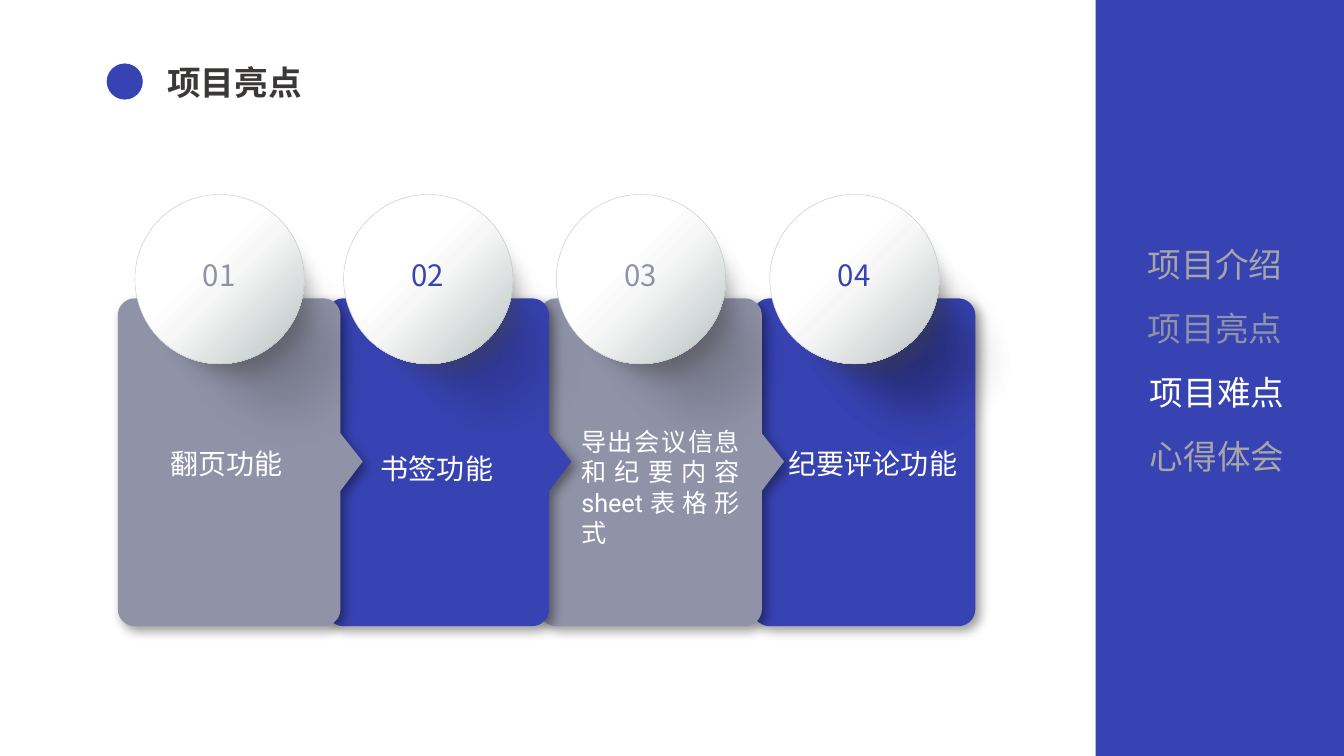
from math import cos, radians, sin

from lxml.etree import SubElement
from pptx import Presentation
from pptx.dml.color import RGBColor
from pptx.enum.shapes import MSO_SHAPE
from pptx.enum.text import MSO_ANCHOR, MSO_AUTO_SIZE, PP_ALIGN
from pptx.oxml.ns import qn
from pptx.util import Cm, Pt

COLORS = {"blue": "3843B3", "grey": "9092A8", "title": "3B3838",
          "muted": "A6A6A6", "white": "FFFFFF", "black": "000000",
          "shade": "494949", "pearl": "F7F7F7", "silver": "B8C0C0"}
CJK, LATIN = "Noto Sans CJK SC", "Roboto"

TITLE = "项目亮点"
# text, colour, left
NAVIGATION = [("项目介绍", "muted", 28.68), ("项目亮点", "grey", 28.68),
              ("项目难点", "white", 28.73), ("心得体会", "muted", 28.73)]
# Lengths in cm; label_box is left, top, width, height
CARDS = [
    {"number": "01", "color": "grey", "left": 2.97, "size": 20,
     "label": [("翻页功能", CJK)], "label_box": (4.04, 11.13, 3.58, 1.12)},
    {"number": "02", "color": "blue", "left": 8.23, "size": 20,
     "label": [("书签功能", CJK)], "label_box": (9.35, 11.25, 3.58, 1.12)},
    {"number": "03", "color": "grey", "left": 13.59, "size": 18,
     "label": [("导出会议信息和纪要内容", CJK), ("sheet", LATIN), ("表格形式", CJK)],
     "label_box": (14.4, 10.62, 4.5, 2.57)},
    {"number": "04", "color": "blue", "left": 18.97, "size": 20,
     "label": [("纪要评论功能", CJK)], "label_box": (19.63, 11.13, 4.9, 1.96)},
]
CARD_TOP, CARD_WIDTH, CARD_HEIGHT, CORNER = 7.52, 5.61, 8.26, 0.43
ARROW = [(0, 3.4), (0.56, 4.11), (0, 4.85)]  # from the card's top right

# position %, colour, opacity %
DISC_STOPS = [(11, "white", 100), (39, "white", 100),
              (53, "pearl", 100), (100, "silver", 100)]
UNDER_DISC_STOPS = [(0, "white", 100), (43, "pearl", 100), (100, "silver", 100)]
CAST_STOPS = [(0, "black", 100), (17, "black", 46), (34, "black", 43),
              (51, "black", 20), (65, "black", 10), (78, "black", 5),
              (100, "black", 0)]
CAST_SOFTNESS = 32  # points
# Cubic curves of the cast shade around its centre, each starting where the last ends
CAST_START = (-2.92, 0)
CAST_CURVES = [((-2.54, -2.08), (-1.6, -3.85), (0, -3.85)),
               ((1.6, -3.85), (2.63, -2.06), (2.92, 0)),
               ((3.18, 2.11), (1.6, 3.85), (0, 3.85)),
               ((-1.6, 3.85), (-3.2, 2.11), CAST_START)]
CURVE_STEPS = 12


def rgb(name):
    return RGBColor.from_string(COLORS[name])


def add_color(parent, name, opacity):
    color = SubElement(parent, qn("a:srgbClr"), val=COLORS[name])
    if opacity < 100:
        SubElement(color, qn("a:alpha"), val=str(opacity * 1000))


def paint(shape, color):
    shape.shadow.inherit = False
    shape.line.fill.background()
    shape.fill.solid()
    shape.fill.fore_color.rgb = rgb(color)


def paint_gradient(shape, stops, angle):
    shape.shadow.inherit = False
    shape.line.fill.background()
    shape.fill.gradient()
    gradient = shape.element.spPr.find(qn("a:gradFill"))
    stop_list = gradient.find(qn("a:gsLst"))
    stop_list.clear()
    for position, color, opacity in stops:
        stop = SubElement(stop_list, qn("a:gs"), pos=str(position * 1000))
        add_color(stop, color, opacity)
    gradient.find(qn("a:lin")).set("ang", str(angle * 60000))


def cast_shadow(shape, color, blur, distance):
    effects = shape.element.spPr.find(qn("a:effectLst"))
    shadow = SubElement(effects, qn("a:outerShdw"), blurRad=str(Pt(blur)),
                        dist=str(Pt(distance)), dir=str(45 * 60000),
                        algn="tl", rotWithShape="0")
    add_color(shadow, color, 40)


def soften_edge(shape, radius):
    effects = shape.element.spPr.find(qn("a:effectLst"))
    SubElement(effects, qn("a:softEdge"), rad=str(Pt(radius)))


def write(box, runs, size, color, align=PP_ALIGN.LEFT, bold=False):
    frame = box.text_frame
    frame.word_wrap = True
    frame.auto_size = MSO_AUTO_SIZE.SHAPE_TO_FIT_TEXT
    frame.vertical_anchor = MSO_ANCHOR.TOP
    para = frame.paragraphs[0]
    para.alignment = align
    for text, font in runs:
        span = para.add_run()
        span.text = text
        span.font.size = Pt(size)
        span.font.bold = bold
        span.font.color.rgb = rgb(color)
        span.font.name = font
        SubElement(span.font._element, qn("a:ea"), typeface=font)


def add_text(page, bounds, runs, size, color, align=PP_ALIGN.LEFT):
    box = page.shapes.add_textbox(*map(Cm, bounds))
    write(box, runs, size, color, align)


def add_circle(page, left, top, size):
    return page.shapes.add_shape(MSO_SHAPE.OVAL, Cm(left), Cm(top), Cm(size), Cm(size))


def add_outline(page, points):
    vertices = [(Cm(x), Cm(y)) for x, y in points]
    builder = page.shapes.build_freeform(*vertices[0])
    builder.add_line_segments(vertices[1:], close=True)
    return builder.convert_to_shape()


def card_points(left, has_arrow):
    right, bottom = left + CARD_WIDTH, CARD_TOP + CARD_HEIGHT
    corners = [(left + CORNER, CARD_TOP + CORNER, 180),
               (right - CORNER, CARD_TOP + CORNER, 270),
               (right - CORNER, bottom - CORNER, 0),
               (left + CORNER, bottom - CORNER, 90)]
    points = []
    for x, y, start in corners:
        if start == 0 and has_arrow:
            points += [(right + dx, CARD_TOP + dy) for dx, dy in ARROW]
        for turn in range(0, 91, 10):
            angle = radians(start + turn)
            points.append((x + CORNER * cos(angle), y + CORNER * sin(angle)))
    return points


def cast_points(center_x, center_y):
    points, start = [], CAST_START
    for first, second, end in CAST_CURVES:
        for step in range(CURVE_STEPS):
            t = step / CURVE_STEPS
            weights = ((1 - t) ** 3, 3 * t * (1 - t) ** 2, 3 * t * t * (1 - t), t ** 3)
            x, y = (sum(w * p[axis] for w, p in zip(weights, (start, first, second, end)))
                    for axis in (0, 1))
            points.append((center_x + x, center_y + y))
        start = end
    return points


def add_card(page, card, is_last):
    left = card["left"]
    panel = add_outline(page, card_points(left, not is_last))
    paint(panel, card["color"])
    cast_shadow(panel, "black", 8, 4)

    for _ in range(2 if is_last else 1):  # the last disc throws a deeper shade
        shade = add_outline(page, cast_points(left + 3.7, 8.5))
        shade.rotation = 315
        paint_gradient(shade, CAST_STOPS, 90)
        soften_edge(shade, CAST_SOFTNESS)

    under_disc = add_circle(page, left + 0.94, 5.51, 3.58)
    paint_gradient(under_disc, UNDER_DISC_STOPS, 45)
    cast_shadow(under_disc, "shade", 14, 11)
    disc = add_circle(page, left + 0.43, 4.9, 4.27)
    paint_gradient(disc, DISC_STOPS, 45)
    disc.line.color.rgb = rgb("silver")
    disc.line.width = Pt(0.25)

    add_text(page, (left + 1.17, 6.35, 2.77, 1.14), [(card["number"], CJK)],
             21, card["color"], PP_ALIGN.CENTER)
    add_text(page, card["label_box"], card["label"], card["size"], "white",
             PP_ALIGN.JUSTIFY)


def main():
    deck = Presentation()
    deck.slide_width, deck.slide_height = Cm(33.87), Cm(19.05)
    page = deck.slides.add_slide(deck.slide_layouts[5])

    sidebar = page.shapes.add_shape(MSO_SHAPE.RECTANGLE, Cm(27.61), 0, Cm(6.26), Cm(19.05))
    paint(sidebar, "blue")
    title = page.shapes.title
    title.left, title.top, title.width, title.height = map(Cm, (3.96, 1.42, 7.39, 1.27))
    write(title, [(TITLE, CJK)], 24, "title", bold=True)
    paint(add_circle(page, 2.69, 1.6, 0.91), "blue")

    for row, (text, color, left) in enumerate(NAVIGATION):
        add_text(page, (left, 6.02 + 1.61 * row, 4.95, 1.27), [(text, CJK)], 24, color)
    for card in reversed(CARDS):  # each card overlaps the one to its right
        add_card(page, card, card is CARDS[-1])
    deck.save("out.pptx")


if __name__ == "__main__":
    main()
